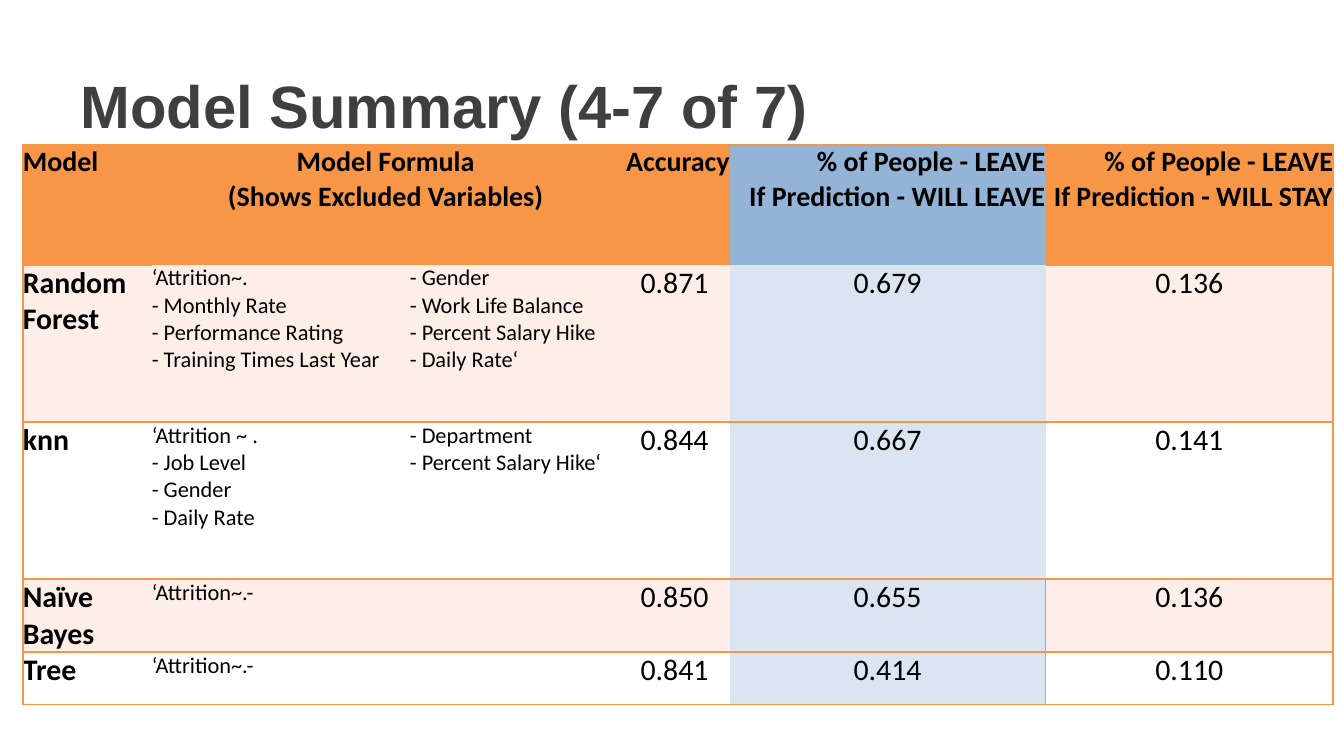
from dataclasses import dataclass

from lxml import etree
from pptx import Presentation
from pptx.dml.color import RGBColor
from pptx.enum.text import MSO_ANCHOR, PP_ALIGN
from pptx.oxml.ns import qn
from pptx.util import Inches, Pt

LEFT, CENTER, RIGHT = PP_ALIGN.LEFT, PP_ALIGN.CENTER, PP_ALIGN.RIGHT
MIDDLE = MSO_ANCHOR.MIDDLE
TITLE_ONLY = 5


@dataclass(frozen=True)
class Theme:
    title_font: str = "Arial"
    body_font: str = "Calibri"
    title_color: str = "3F3F3F"
    text: str = "000000"
    orange: str = "F79646"
    blue: str = "93B3D7"
    pale_orange: str = "FDEEE8"
    pale_blue: str = "DAE5F1"
    white: str = "FFFFFF"
    title_size: int = 32
    header_size: int = 15
    value_size: int = 16
    formula_size: int = 12
    border: int = 1


THEME = Theme()

COLUMN_WIDTHS = [0.96, 1.92, 1.56, 0.82, 2.35, 2.14]
ROW_HEIGHTS = [0.89, 1.17, 1.17, 0.39, 0.39]
FORMULA, FORMULA_MORE, ACCURACY, LEAVE, STAY = range(1, 6)

HEADERS = [
    "Model",
    "Model Formula\n(Shows Excluded Variables)",
    "",
    "Accuracy",
    "% of People - LEAVE\nIf Prediction - WILL LEAVE",
    "% of People - LEAVE\nIf Prediction - WILL STAY",
]
MODELS = [
    ["Random Forest",
     "‘Attrition~.\n- Monthly Rate\n- Performance Rating\n- Training Times Last Year",
     "- Gender\n- Work Life Balance\n- Percent Salary Hike\n- Daily Rate‘",
     "0.871", "0.679", "0.136"],
    ["knn",
     "‘Attrition ~ .\n- Job Level\n- Gender\n- Daily Rate",
     "- Department\n- Percent Salary Hike‘",
     "0.844", "0.667", "0.141"],
    ["Naïve Bayes", "‘Attrition~.-", "", "0.850", "0.655", "0.136"],
    ["Tree", "‘Attrition~.-", "", "0.841", "0.414", "0.110"],
]


def set_attributes(target, values):
    for name, value in values.items():
        setattr(target, name, value)


def write_text(frame, text, font, size, color, bold, align):
    """Write one paragraph for each line of the text."""
    for index, line in enumerate(text.split("\n")):
        para = frame.paragraphs[0] if index == 0 else frame.add_paragraph()
        para.alignment = align
        span = para.add_run()
        span.text = line
        set_attributes(span.font, {"name": font, "size": Pt(size), "bold": bold})
        span.font.color.rgb = RGBColor.from_string(color)


def set_borders(cell, sides):
    """Draw the named sides and clear the others; lines precede the fill."""
    properties = cell._tc.get_or_add_tcPr()
    for index, side in enumerate("LRTB"):
        line = etree.Element(qn(f"a:ln{side}"), w=str(Pt(THEME.border)))
        if side in sides:
            fill = etree.SubElement(line, qn("a:solidFill"))
            etree.SubElement(fill, qn("a:srgbClr"), val=THEME.orange)
        else:
            etree.SubElement(line, qn("a:noFill"))
        properties.insert(index, line)


def border_sides(row, column):
    if column == 0:
        return "LTB"
    if column == STAY:
        return "LRTB" if row >= 3 else "RTB"
    sides = {0: "T", 1: "B"}.get(row, "TB")
    return sides + "R" if column == LEAVE and row >= 3 else sides


def cell_fill(row, column):
    if row == 0:
        return THEME.blue if column == LEAVE else THEME.orange
    if column == LEAVE:
        return THEME.pale_blue
    return THEME.pale_orange if row % 2 else THEME.white


def text_style(row, column):
    """Return size, weight and alignment for a cell's text."""
    if row == 0:
        align = LEFT if column == 0 else CENTER if column == FORMULA else RIGHT
        return THEME.header_size, True, align
    if column in (FORMULA, FORMULA_MORE):
        return THEME.formula_size, False, LEFT
    return THEME.value_size, column == 0, CENTER if column >= ACCURACY else LEFT


def add_title(page, text):
    title = page.shapes.title
    set_attributes(title, {"left": Inches(0.5), "top": Inches(0.31),
                           "width": Inches(9), "height": Inches(0.94)})
    title.text_frame.vertical_anchor = MIDDLE
    write_text(title.text_frame, text, THEME.title_font, THEME.title_size,
               THEME.title_color, True, LEFT)


def add_model_table(page, rows):
    table = page.shapes.add_table(
        len(rows), len(COLUMN_WIDTHS), Inches(0.17), Inches(1.08),
        Inches(sum(COLUMN_WIDTHS)), Inches(sum(ROW_HEIGHTS))).table
    for column, width in zip(table.columns, COLUMN_WIDTHS):
        column.width = Inches(width)
    for row, height in zip(table.rows, ROW_HEIGHTS):
        row.height = Inches(height)

    for r, texts in enumerate(rows):
        # A formula without a second part takes both formula columns
        if not texts[FORMULA_MORE]:
            table.cell(r, FORMULA).merge(table.cell(r, FORMULA_MORE))
        for c, text in enumerate(texts):
            cell = table.cell(r, c)
            set_attributes(cell, {"margin_left": 0, "margin_right": 0,
                                  "margin_top": 0, "margin_bottom": 0})
            cell.fill.solid()
            cell.fill.fore_color.rgb = RGBColor.from_string(cell_fill(r, c))
            set_borders(cell, border_sides(r, c))
            if text:
                size, bold, align = text_style(r, c)
                write_text(cell.text_frame, text, THEME.body_font, size,
                           THEME.text, bold, align)


def main():
    # Widescreen page, 16:9
    deck = Presentation()
    deck.slide_width = Inches(10)
    deck.slide_height = deck.slide_width * 9 // 16
    page = deck.slides.add_slide(deck.slide_layouts[TITLE_ONLY])

    # Heading and model comparison
    add_title(page, "Model Summary (4-7 of 7)")
    add_model_table(page, [HEADERS] + MODELS)

    deck.save("out.pptx")


if __name__ == "__main__":
    main()
